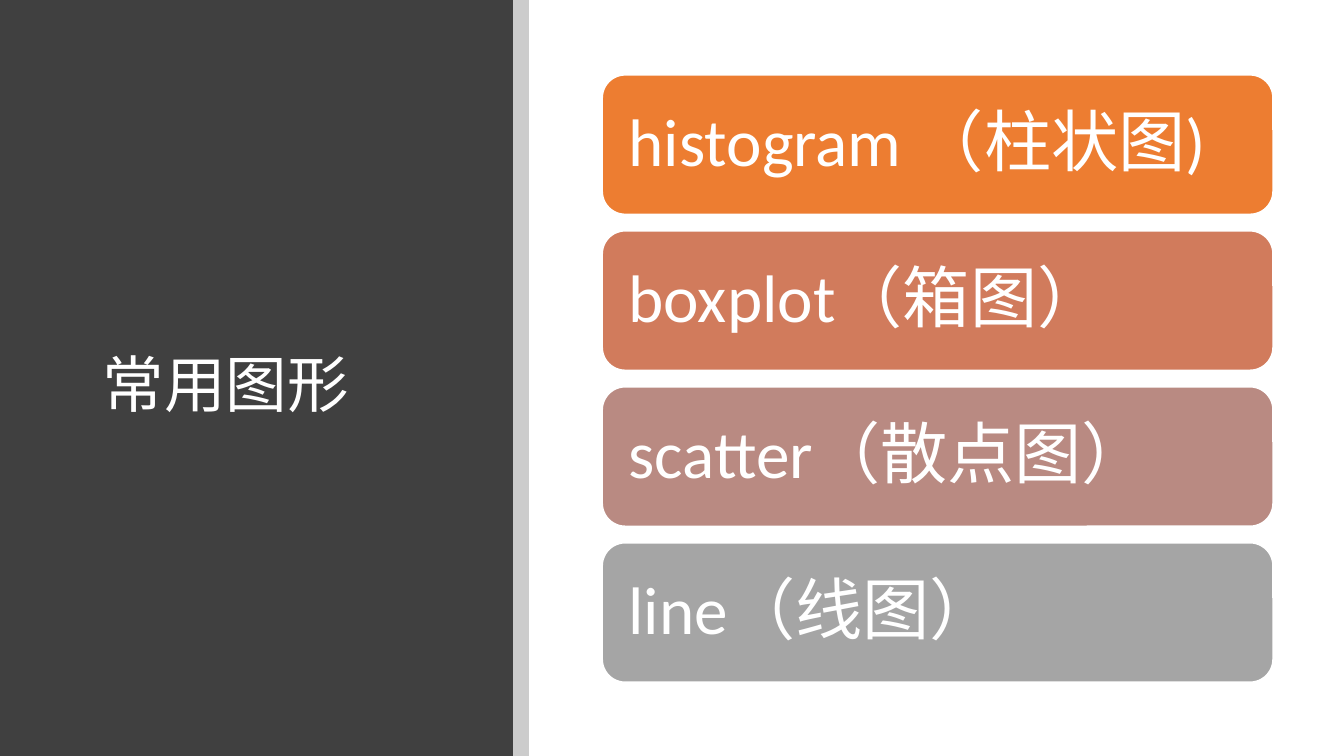
"""Build a slide that lists common chart types beside a dark title panel."""
import lxml.etree
import pptx
import pptx.dml.color
import pptx.enum.shapes
import pptx.enum.text
import pptx.oxml.ns
import pptx.util

Cm = pptx.util.Cm
THEME = {
    "font": "Calibri",
    "title_size": 44,
    "card_size": 48,
    "text": "FFFFFF",
    "panel": "404040",
    "strip": "000000",
    "strip_alpha": 20000,
}
CHART_TYPES = [
    ("histogram （柱状图)", "ED7D31"),
    ("boxplot（箱图）", "D17B5C"),
    ("scatter（散点图）", "B98A82"),
    ("line（线图）", "A5A5A5"),
]


def write_text(shape, text, size, left, right):
    frame = shape.text_frame
    frame.text = text
    frame.word_wrap = True
    frame.auto_size = pptx.enum.text.MSO_AUTO_SIZE.NONE
    frame.vertical_anchor = pptx.enum.text.MSO_ANCHOR.MIDDLE
    frame.margin_left, frame.margin_right = Cm(left), Cm(right)
    paragraph = frame.paragraphs[0]
    paragraph.alignment = pptx.enum.text.PP_ALIGN.LEFT
    paragraph.line_spacing = 0.9
    font = paragraph.runs[0].font
    font.name = THEME["font"]
    font.size = pptx.util.Pt(size)
    font.color.rgb = pptx.dml.color.RGBColor.from_string(THEME["text"])


def add_block(slide, kind, left, top, width, height, color):
    shape = slide.shapes.add_shape(kind, Cm(left), Cm(top), Cm(width), Cm(height))
    shape.shadow.inherit = False
    shape.fill.solid()
    shape.fill.fore_color.rgb = pptx.dml.color.RGBColor.from_string(color)
    shape.line.fill.background()
    return shape


presentation = pptx.Presentation()
presentation.slide_width, presentation.slide_height = Cm(33.87), Cm(19.05)
slide = presentation.slides.add_slide(presentation.slide_layouts[5])
shape_kinds = pptx.enum.shapes.MSO_SHAPE

panel = add_block(slide, shape_kinds.RECTANGLE, 0, 0, 12.93, 19.05, THEME["panel"])
title = slide.shapes.title
title.left, title.top, title.width, title.height = Cm(2.34), Cm(2.26), Cm(9.27), Cm(15.01)
write_text(title, "常用图形", THEME["title_size"], 0.25, 0.25)
title.element.addprevious(panel.element)

strip = add_block(slide, shape_kinds.RECTANGLE, 12.93, 0, 0.4, 19.05, THEME["strip"])
strip_color = strip.element.spPr.find(".//" + pptx.oxml.ns.qn("a:srgbClr"))
alpha = lxml.etree.SubElement(strip_color, pptx.oxml.ns.qn("a:alpha"))
alpha.set("val", str(THEME["strip_alpha"]))

card_top, card_height, card_gap = 1.88, 3.53, 0.4
for index, (label, color) in enumerate(CHART_TYPES):
    top = card_top + index * (card_height + card_gap)
    card = add_block(slide, shape_kinds.ROUNDED_RECTANGLE, 15.17, top, 16.92, card_height, color)
    card.line.color.rgb = pptx.dml.color.RGBColor.from_string(THEME["text"])
    card.line.width = pptx.util.Pt(1.5)
    write_text(card, label, THEME["card_size"], 0.5, 0.3)

presentation.save("out.pptx")
